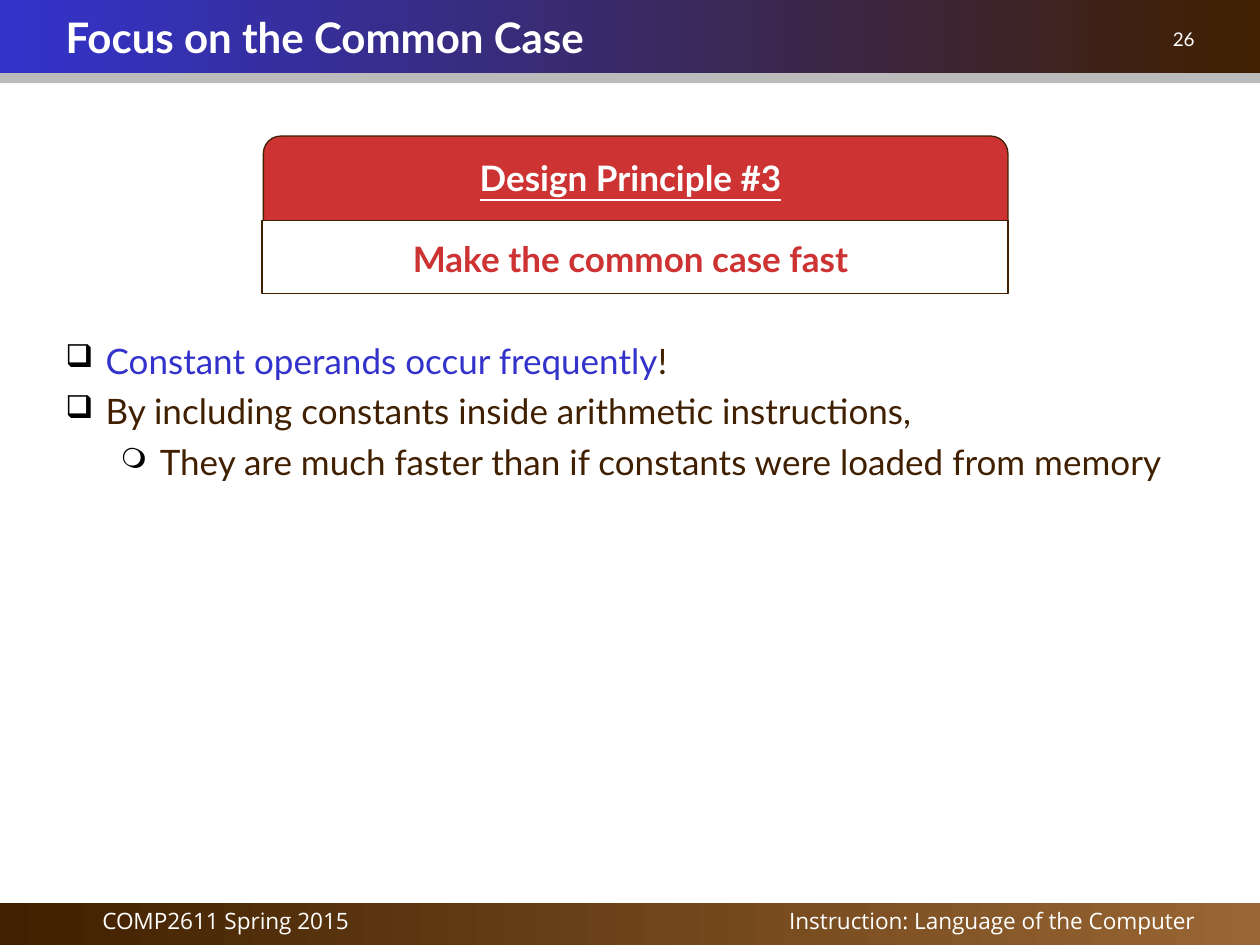
"""Build the slide on making the common case fast."""
import dataclasses
import typing

import lxml.etree
import pptx
import pptx.dml.color
import pptx.enum.shapes
import pptx.enum.text
import pptx.oxml.ns
import pptx.util

Inches = pptx.util.Inches
Align = pptx.enum.text.PP_ALIGN
Kind = pptx.enum.shapes.MSO_SHAPE
Box = typing.Tuple[float, float, float, float]


@dataclasses.dataclass(frozen=True)
class Theme:
    white: str = "FFFFFF"
    black: str = "000000"
    brown: str = "402000"
    tan: str = "996633"
    blue: str = "3333CC"
    red: str = "CD3333"
    grey: str = "BBBBBB"
    head: float = 24
    body: float = 20
    foot: float = 12.9
    page: float = 10.8
    main: str = "Lato"
    side: str = "Open Sans"


LOOK = Theme()


@dataclasses.dataclass(frozen=True)
class Panel:
    box: Box
    fill: typing.Tuple[str, ...]
    line: str = ""
    kind: Kind = Kind.RECTANGLE


@dataclasses.dataclass(frozen=True)
class Label:
    text: str
    box: Box
    align: Align
    size: float
    face: str
    lead: float = 1.0


@dataclasses.dataclass(frozen=True)
class Bullet:
    mark: str
    scale: int
    left: float
    hang: float


@dataclasses.dataclass(frozen=True)
class Line:
    runs: typing.Tuple[typing.Tuple[str, str], ...]
    gap: float = 5
    bold: bool = False
    under: bool = False
    level: int = 0
    bullet: typing.Optional[Bullet] = None


SQUARE = Bullet("❑", 90, 0.32, 0.32)
ROUND = Bullet("❍", 80, 0.75, 0.31)

PANELS = (
    Panel((0, 7.17, 10, 0.33), (LOOK.brown, LOOK.tan)),
    Panel((0, 0.08, 10, 0.58), (LOOK.grey,)),
    Panel((0, 0, 10, 0.58), (LOOK.blue, LOOK.brown)),
    Panel((2.09, 1.08, 5.91, 0.83), (LOOK.red,), LOOK.brown,
          Kind.ROUNDED_RECTANGLE),
    Panel((2.08, 1.75, 5.92, 0.58), (LOOK.white,), LOOK.brown),
)

LABELS = (
    Label("COMP2611 Spring 2015", (0.25, 7.17, 3.08, 0.33), Align.CENTER,
          LOOK.foot, LOOK.side, 0.9),
    Label("Instruction: Language of the Computer", (4.58, 7.17, 5, 0.33),
          Align.RIGHT, LOOK.foot, LOOK.side, 0.9),
    Label("26", (7.5, 0.17, 2.08, 0.33), Align.RIGHT, LOOK.page, LOOK.main),
)

LINES = (
    Line((("Design Principle #3", LOOK.white),), 0, True, True),
    Line((("Make the common case fast", LOOK.red),), 22.3, True),
    Line((("Constant operands occur frequently", LOOK.blue),
          ("!", LOOK.brown)), 34.3, bullet=SQUARE),
    Line((("By including constants inside arithmetic instructions,",
           LOOK.brown),), bullet=SQUARE),
    Line((("They are much faster than if constants were loaded from memory",
           LOOK.brown),), level=1, bullet=ROUND),
)


def tint(code: str) -> pptx.dml.color.RGBColor:
    """Turn a hex code into a colour."""
    return pptx.dml.color.RGBColor.from_string(code)


def put(item: typing.Any, form: typing.Dict[str, typing.Any]) -> None:
    """Set each format value on an object."""
    for name, value in form.items():
        setattr(item, name, value)


def place(box: Box) -> typing.List[int]:
    """Turn a box in inches into lengths."""
    return [Inches(size) for size in box]


def ink(font: typing.Any, size: float, face: str, code: str,
        bold: bool = False, under: bool = False) -> None:
    """Format a font."""
    put(font, {"size": pptx.util.Pt(size), "name": face,
               "bold": bold, "underline": under})
    font.color.rgb = tint(code)


def panel(slide: typing.Any, part: Panel) -> None:
    """Draw a plain or graded panel."""
    shape = slide.shapes.add_shape(part.kind, *place(part.box))
    shape.shadow.inherit = False
    if len(part.fill) > 1:
        shape.fill.gradient()
        shape.fill.gradient_angle = 0
        for stop, code in zip(shape.fill.gradient_stops, part.fill):
            stop.color.rgb = tint(code)
    else:
        shape.fill.solid()
        shape.fill.fore_color.rgb = tint(part.fill[0])
    if part.line:
        shape.line.color.rgb = tint(part.line)
        shape.line.width = pptx.util.Pt(0.75)
    else:
        shape.line.fill.background()


def label(slide: typing.Any, part: Label) -> None:
    """Draw a one-line label."""
    frame = slide.shapes.add_textbox(*place(part.box)).text_frame
    frame.word_wrap = True
    para = frame.paragraphs[0]
    put(para, {"text": part.text, "alignment": part.align,
               "line_spacing": part.lead})
    ink(para.runs[0].font, part.size, part.face, LOOK.white)


def mark(para: typing.Any, part: Bullet) -> None:
    """Give a paragraph its bullet and hanging indent."""
    props = para._p.get_or_add_pPr()
    props.set("marL", str(Inches(part.left)))
    props.set("indent", str(-Inches(part.hang)))
    qn = pptx.oxml.ns.qn
    color = lxml.etree.SubElement(props, qn("a:buClr"))
    lxml.etree.SubElement(color, qn("a:srgbClr"), val=LOOK.black)
    lxml.etree.SubElement(props, qn("a:buSzPct"), val=str(part.scale * 1000))
    lxml.etree.SubElement(props, qn("a:buChar"), char=part.mark)


def body(slide: typing.Any, box: Box, lines: typing.Sequence[Line]) -> None:
    """Write the principle and the points below it."""
    frame = slide.shapes.add_textbox(*place(box)).text_frame
    frame.word_wrap = True
    for rank, part in enumerate(lines):
        para = frame.add_paragraph() if rank else frame.paragraphs[0]
        put(para, {"space_before": pptx.util.Pt(part.gap),
                   "level": part.level,
                   "alignment": Align.LEFT if part.bullet else Align.CENTER})
        if part.bullet:
            mark(para, part.bullet)
        for text, code in part.runs:
            run = para.add_run()
            run.text = text
            ink(run.font, LOOK.body, LOOK.main, code, part.bold, part.under)


def title(slide: typing.Any, text: str, box: Box) -> None:
    """Place the title above the header panel."""
    shape = slide.shapes.title
    put(shape, dict(zip(("left", "top", "width", "height"), place(box))))
    frame = shape.text_frame
    put(frame, {"text": text, "word_wrap": True,
                "auto_size": pptx.enum.text.MSO_AUTO_SIZE.NONE,
                "vertical_anchor": pptx.enum.text.MSO_ANCHOR.MIDDLE})
    para = frame.paragraphs[0]
    para.alignment = Align.LEFT
    ink(para.runs[0].font, LOOK.head, LOOK.main, LOOK.white, True)
    shape.element.getparent().append(shape.element)


def main() -> None:
    """Build and save the slide."""
    deck = pptx.Presentation()
    put(deck, {"slide_width": Inches(10), "slide_height": Inches(7.5)})
    slide = deck.slides.add_slide(deck.slide_layouts[5])
    for part in PANELS:
        panel(slide, part)
    for part in LABELS:
        label(slide, part)
    title(slide, "Focus on the Common Case", (0.42, 0, 9.17, 0.58))
    body(slide, (0.42, 1.19, 9.17, 5.73), LINES)
    deck.save("out.pptx")


if __name__ == "__main__":
    main()
